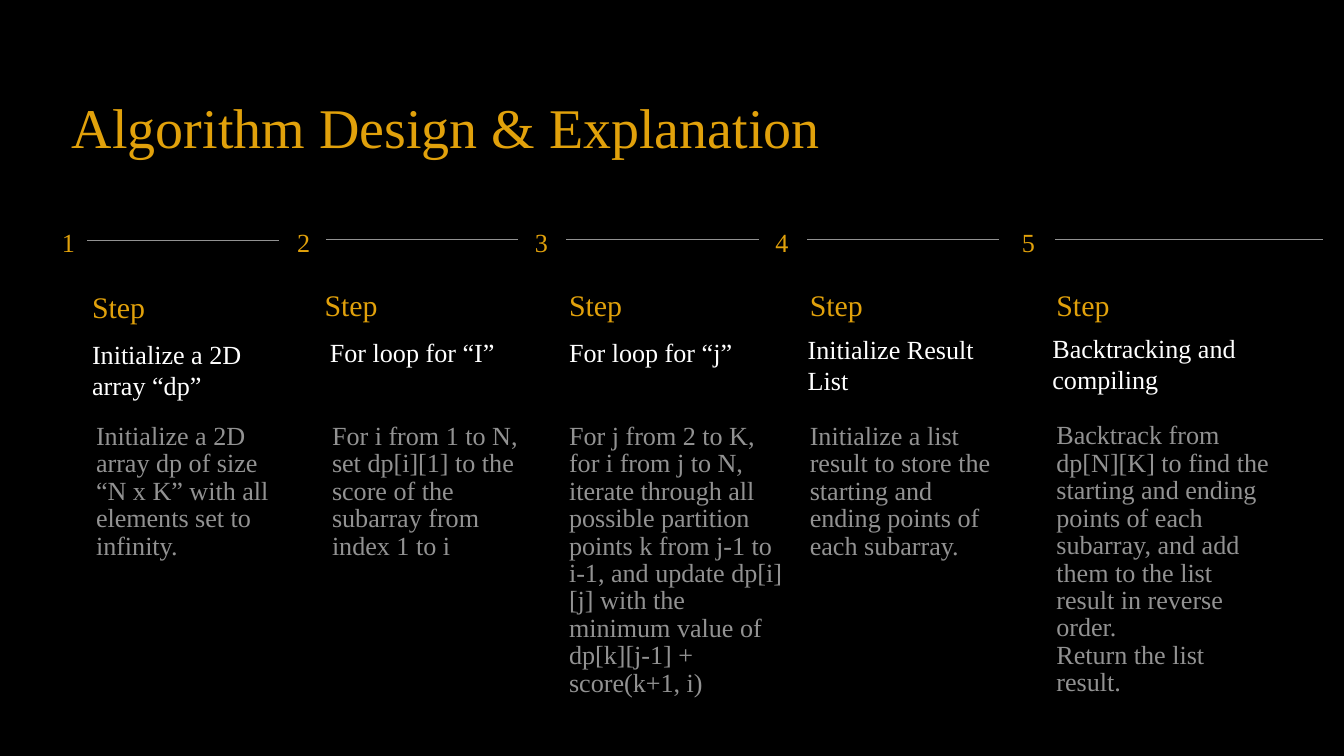
from pptx import Presentation
from pptx.dml.color import RGBColor
from pptx.enum import shapes, text
from pptx.oxml.ns import qn
from pptx import util as u
from lxml import etree

THEME = {
    "font": "Times New Roman",
    "ground": "000000", "accent": "E1A10B", "heading": "FFFFFF", "muted": "929292",
    "title_size": 60, "step_size": 32, "text_size": 28, "rule_width": 1,
}

TITLE = "Algorithm Design & Explanation"
STEPS = [
    {"heading": "Initialize a 2D array “dp”",
     "body": ["Initialize a 2D array dp of size",
              "“N x K” with all elements set to infinity."],
     "number_left": 2.34, "rule": (3.3, 9.09, 7.26), "width": 6.83,
     "step_at": (3.48, 10.9), "heading_at": (3.48, 12.78), "heading_width": 7.26,
     "heading_lines": 2, "body_at": (3.63, 16), "body_lines": 5},
    {"heading": "For loop for “I”",
     "body": ["For i from 1 to N, set dp[i][1] to the score of the subarray from index 1 to i"],
     "number_left": 11.23, "rule": (12.32, 9.04, 7.26), "width": 7.52,
     "step_at": (12.27, 10.82), "heading_at": (12.47, 12.73), "heading_width": 7.52,
     "heading_lines": 1, "body_at": (12.55, 16), "body_lines": 5},
    {"heading": "For loop for “j”",
     "body": ["For j from 2 to K, for i from j to N, iterate through all possible partition "
              "points k from j-1 to i-1, and update dp[i][j] with the minimum value of "
              "dp[k][j-1] + score(k+1, i)"],
     "number_left": 20.22, "rule": (21.41, 9.04, 7.26), "width": 8.13,
     "step_at": (21.51, 10.82), "heading_at": (21.51, 12.73), "heading_width": 8.13,
     "heading_lines": 1, "body_at": (21.51, 16), "body_lines": 10},
    {"heading": "Initialize Result List",
     "body": ["Initialize a list result to store the starting and ending points of each subarray."],
     "number_left": 29.31, "rule": (30.51, 9.04, 7.26), "width": 7.44,
     "step_at": (30.61, 10.8), "heading_at": (30.53, 12.6), "heading_width": 7.44,
     "heading_lines": 2, "body_at": (30.61, 16), "body_lines": 5},
    {"heading": "Backtracking and compiling",
     "body": ["Backtrack from dp[N][K] to find the starting and ending points of each subarray, "
              "and add them to the list result in reverse order.",
              "Return the list result."],
     "number_left": 38.63, "rule": (39.88, 9.04, 10.13), "width": 8.13,
     "step_at": (39.93, 10.8), "heading_at": (39.78, 12.57), "heading_width": 8.13,
     "heading_lines": 2, "body_at": (39.93, 15.98), "body_lines": 10},
]
NUMBER_TOP = 8.36
CM_PER_POINT = 2.54 / 72


def add_text(page, content, *, at, width, size, color, spacing, lines=1):
    height = lines * spacing * CM_PER_POINT
    box = page.shapes.add_textbox(u.Cm(at[0]), u.Cm(at[1]), u.Cm(width), u.Cm(height))
    frame = box.text_frame
    frame.word_wrap = True
    frame.auto_size = text.MSO_AUTO_SIZE.SHAPE_TO_FIT_TEXT
    frame.margin_left = frame.margin_top = frame.margin_right = frame.margin_bottom = 0
    for index, words in enumerate([content] if isinstance(content, str) else content):
        para = frame.add_paragraph() if index else frame.paragraphs[0]
        para.line_spacing = u.Pt(spacing)
        span = para.add_run()
        span.text = words
        span.font.name = THEME["font"]
        span.font.size = u.Pt(size)
        span.font.color.rgb = RGBColor.from_string(THEME[color])


def add_rule(page, left, top, length):
    rule = page.shapes.add_connector(
        shapes.MSO_CONNECTOR.STRAIGHT, u.Cm(left), u.Cm(top), u.Cm(left + length), u.Cm(top))
    rule.line.color.rgb = RGBColor.from_string(THEME["muted"])
    rule.line.width = u.Pt(THEME["rule_width"])
    etree.SubElement(rule._element.spPr, qn("a:effectLst"))


def add_step(page, number, step):
    small = THEME["text_size"]
    add_text(page, str(number), at=(step["number_left"], NUMBER_TOP),
             width=step["rule"][0] - step["number_left"],
             size=small, color="accent", spacing=39.2)
    add_rule(page, *step["rule"])
    add_text(page, "Step", at=step["step_at"], width=step["width"],
             size=THEME["step_size"], color="accent", spacing=39.2)
    add_text(page, step["heading"], at=step["heading_at"], width=step["heading_width"],
             size=small, color="heading", spacing=33.6, lines=step["heading_lines"])
    add_text(page, step["body"], at=step["body_at"], width=step["width"],
             size=small, color="muted", spacing=29.4, lines=step["body_lines"])


def main():
    deck = Presentation()
    deck.slide_width, deck.slide_height = u.Cm(50.8), u.Cm(28.58)
    page = deck.slides.add_slide(deck.slide_layouts[6])
    page.background.fill.solid()
    page.background.fill.fore_color.rgb = RGBColor.from_string(THEME["ground"])
    add_text(page, TITLE, at=(2.72, 3.33), width=44.83,
             size=THEME["title_size"], color="accent", spacing=76.8)
    for number, step in enumerate(STEPS, 1):
        add_step(page, number, step)
    deck.save("out.pptx")


if __name__ == "__main__":
    main()
